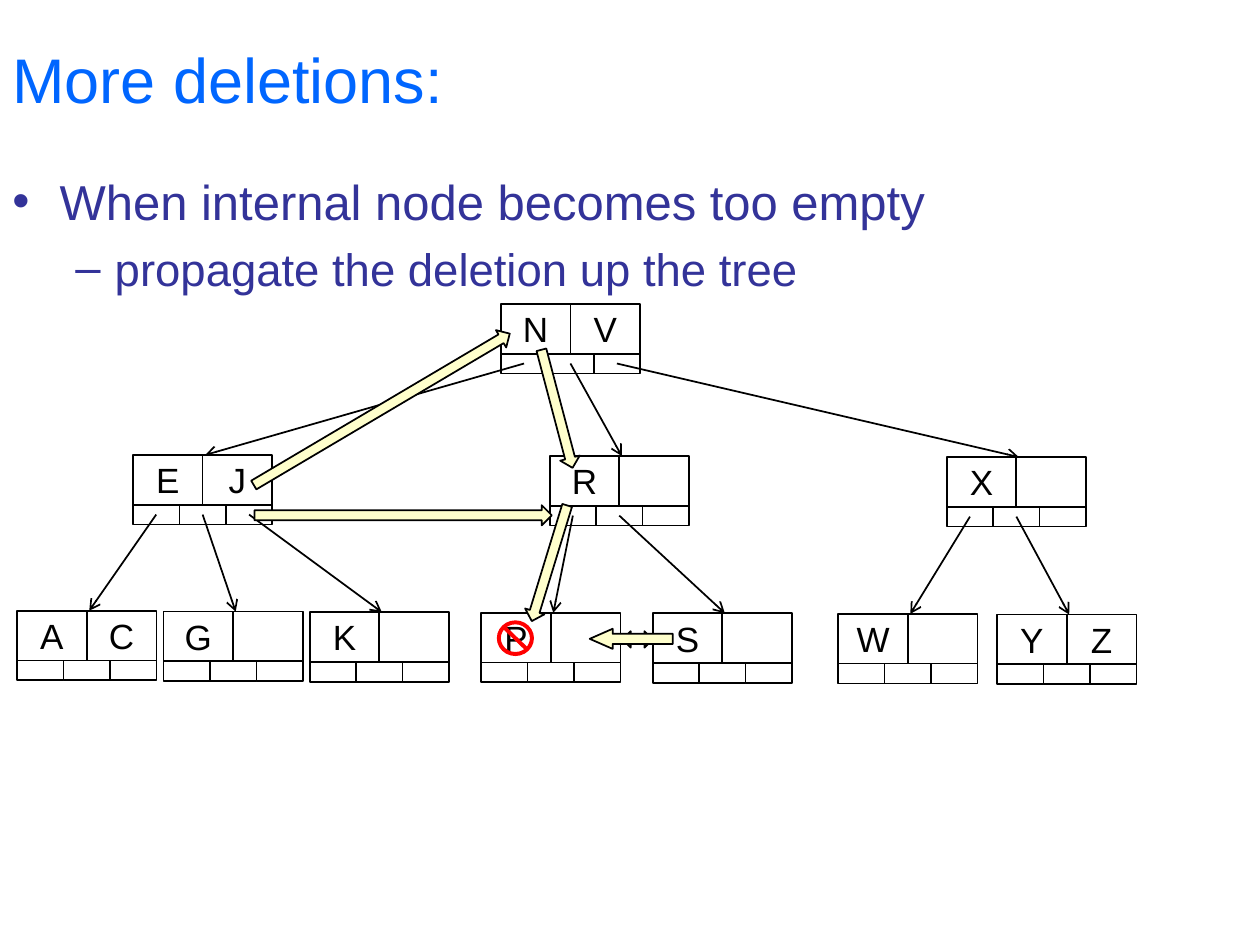
from lxml import etree
from pptx import Presentation
from pptx.dml.color import RGBColor
from pptx.enum.shapes import MSO_CONNECTOR, MSO_SHAPE
from pptx.enum.text import MSO_ANCHOR, PP_ALIGN
from pptx.oxml.ns import qn
from pptx.util import Pt

BOX, UP = MSO_SHAPE.FLOWCHART_PROCESS, MSO_SHAPE.UP_ARROW
DOUBLE, NO = MSO_SHAPE.LEFT_RIGHT_ARROW, MSO_SHAPE.NO_SYMBOL
STRAIGHT = MSO_CONNECTOR.STRAIGHT
MIDDLE, CENTER = MSO_ANCHOR.MIDDLE, PP_ALIGN.CENTER


def color(hex_value):
    return RGBColor.from_string(hex_value)


def add_outlined(kind, x, y, w, h, fill=None, line="000000"):
    """Add a preset shape with a 1 pt outline; no fill leaves it see-through."""
    s = slide.shapes.add_shape(kind, Pt(x), Pt(y), Pt(w), Pt(h))
    s.shadow.inherit = False
    if fill:
        s.fill.solid()
        s.fill.fore_color.rgb = color(fill)
    else:
        s.fill.background()
    s.line.color.rgb = color(line)
    s.line.width = Pt(1)
    return s


prs = Presentation()
prs.slide_width, prs.slide_height = Pt(720), Pt(540)
slide = prs.slides.add_slide(prs.slide_layouts[6])

# Title
tf = slide.shapes.add_textbox(0, 0, Pt(720), Pt(90)).text_frame
tf.word_wrap = True
tf.vertical_anchor = MIDDLE
tf.text = "More deletions:"
font = tf.paragraphs[0].runs[0].font
font.name, font.size = "Arial", Pt(36)
font.color.rgb = color("0066FF")

# Bullets: text, level, bullet, left margin, hanging indent, size, space before
bullets = [
    ("When internal node becomes too empty", 0, "•", 27, 27, 28, 0),
    ("propagate the deletion up the tree", 1, "–", 58.5, 22.5, 26, 6),
]
tf = slide.shapes.add_textbox(0, Pt(94.5), Pt(720), Pt(445.5)).text_frame
tf.word_wrap = True
tf.text = "\n".join(b[0] for b in bullets)
for p, (_, level, char, margin, hang, size, before) in zip(tf.paragraphs, bullets):
    p.level = level
    p.space_before = Pt(before)
    pPr = p._p.get_or_add_pPr()
    pPr.set("marL", str(Pt(margin)))
    pPr.set("indent", str(-Pt(hang)))
    etree.SubElement(pPr, qn("a:buFont"), typeface="Arial")
    etree.SubElement(pPr, qn("a:buChar"), char=char)
    font = p.runs[0].font
    font.name, font.size = "Arial", Pt(size)
    font.color.rgb = color("333399")

# B-tree: each node has two key cells above three pointer cells
KEY_W, KEY_H = 39.8, 28.4
PTR_W, PTR_H = KEY_W * 2 / 3, 11.3
nodes = {  # keys: left, top, children
    "NV": (286.2, 173.7, ["EJ", "R", "X"]),
    "R": (314.1, 260.6, ["P", "S"]),
    "X": (541, 261.2, ["W", "YZ"]),
    "EJ": (76, 260, ["AC", "G", "K"]),
    "AC": (9.8, 349, []),
    "G": (93.5, 349.5, []),
    "K": (177, 349.8, []),
    "P": (275, 350.2, []),
    "S": (373, 350.4, []),
    "W": (479, 350.8, []),
    "YZ": (569.8, 351.2, []),
}
for keys, (x, y, children) in nodes.items():
    for i, key in enumerate(keys.ljust(2)):
        s = add_outlined(BOX, x + i * KEY_W, y, KEY_W, KEY_H, "FFFFFF")
        if key == " ":
            continue
        tf = s.text_frame
        tf.margin_left = tf.margin_right = tf.margin_top = tf.margin_bottom = 0
        tf.vertical_anchor = MIDDLE
        tf.text = key
        p = tf.paragraphs[0]
        p.alignment = CENTER
        font = p.runs[0].font
        font.name, font.size = "Arial", Pt(20)
        font.color.rgb = color("000000")

    for i, child in enumerate(children):
        child_x, child_y, _ = nodes[child]
        c = slide.shapes.add_connector(
            STRAIGHT,
            Pt(x + (i + 0.5) * PTR_W), Pt(y + KEY_H + PTR_H / 2),
            Pt(child_x + KEY_W + 1.4), Pt(child_y))
        c.line.color.rgb = color("000000")
        c.line.width = Pt(1)
        etree.SubElement(c.line._get_or_add_ln(), qn("a:tailEnd"), type="arrow")
        etree.SubElement(c._element.spPr, qn("a:effectLst"))

    for i in range(3):
        add_outlined(BOX, x + i * PTR_W, y + KEY_H, PTR_W, PTR_H)

# Deleted key
s = add_outlined(NO, 284.4, 355, 20.2, 19.4, "FF0000", "FF0000")
s.adjustments[0] = 0.066

# Block arrows: kind, left, top, width, height, rotation, head length
arrows = [
    (UP, 308.2, 287.3, 11.5, 69.1, 197, 0.5),
    (DOUBLE, 355.7, 360.7, 17.3, 9.4, 0, 0.5),
    (UP, 355, 341.3, 11.5, 47.5, 270, 1.138),
    (UP, 312.5, 198.7, 11.5, 69.8, 165.2, 0.5),
    (UP, 212.4, 149, 11.5, 169.9, 59.4, 0.5),
    (UP, 224.6, 209.5, 11.5, 169.9, 90, 0.5),
]
for kind, x, y, w, h, rotation, head in arrows:
    s = add_outlined(kind, x, y, w, h, "FFFFCC")
    s.rotation = rotation
    s.adjustments[1] = head

prs.save("out.pptx")
